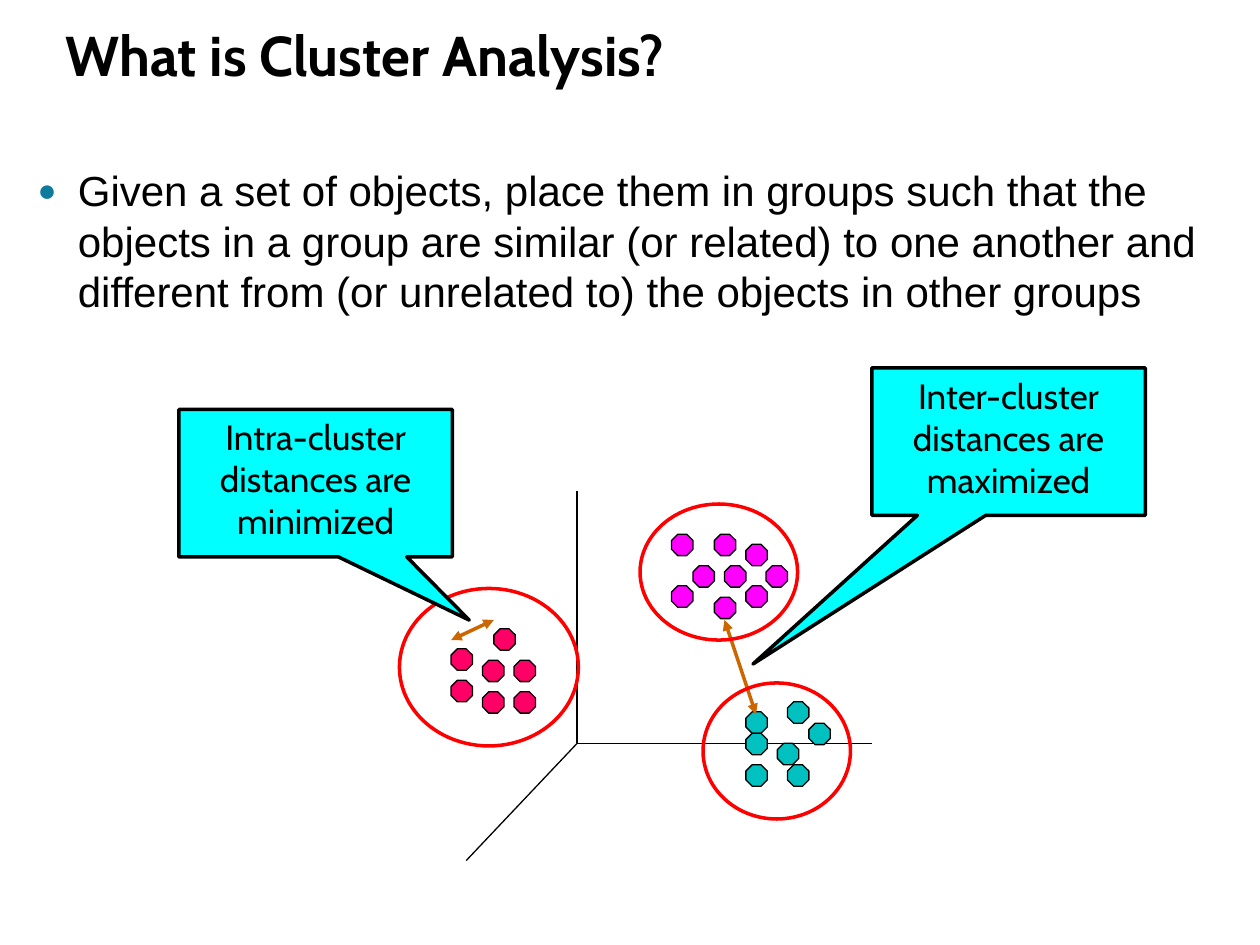
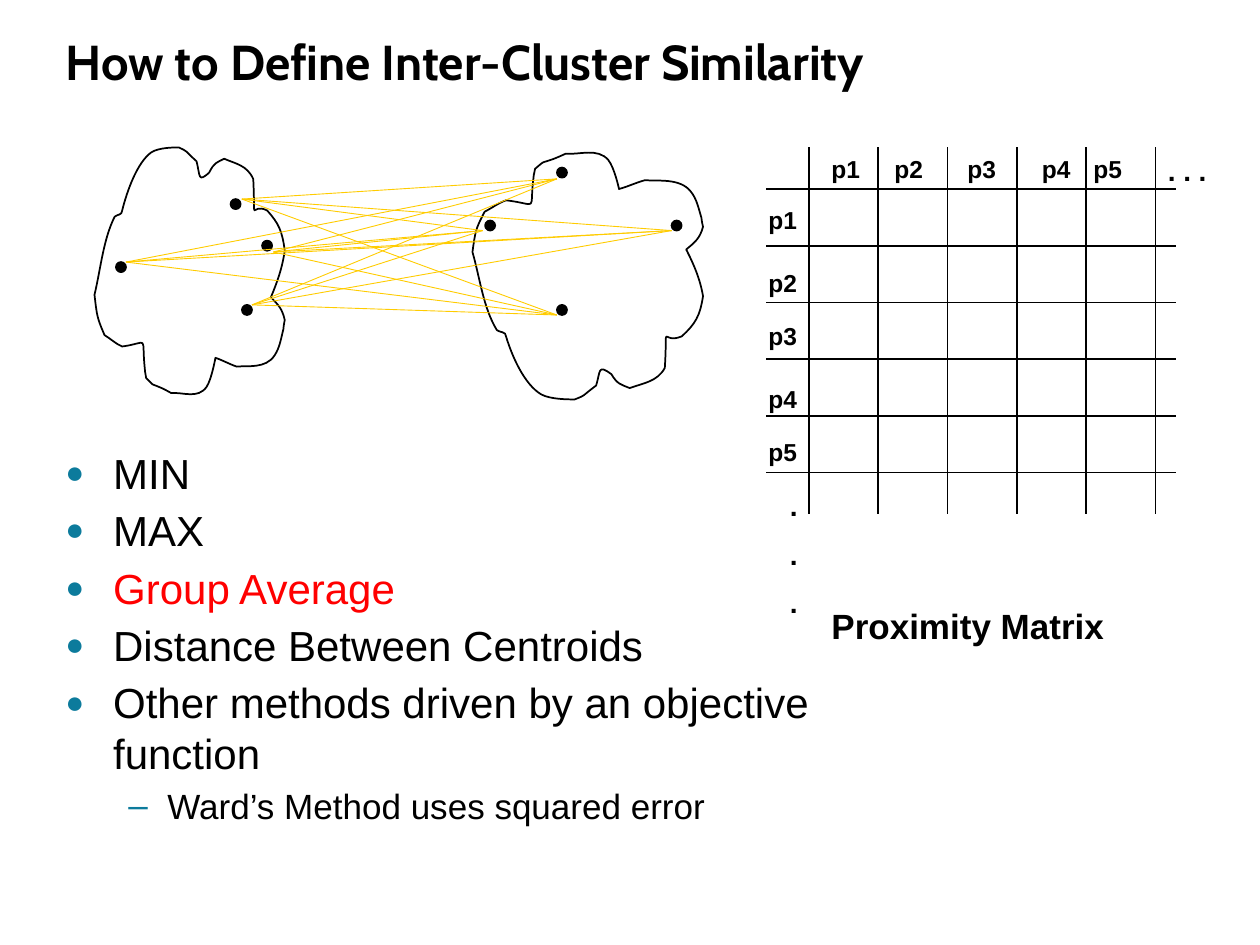
from itertools import product

from lxml import etree
from pptx import Presentation
from pptx.dml.color import RGBColor
from pptx.enum.shapes import MSO_CONNECTOR as CONN, MSO_SHAPE as SHAPE
from pptx.enum.text import MSO_ANCHOR as ANCHOR, MSO_AUTO_SIZE as AUTO, PP_ALIGN as ALIGN
from pptx.oxml.ns import qn
from pptx.util import Inches, Pt

BLACK = RGBColor(0x00, 0x00, 0x00)
RED = RGBColor(0xFF, 0x00, 0x00)
CYAN = RGBColor(0x00, 0xFF, 0xFF)
MAGENTA = RGBColor(0xFF, 0x00, 0xFF)
PINK = RGBColor(0xFF, 0x00, 0x66)
TEAL = RGBColor(0x00, 0xC0, 0xC0)
BROWN = RGBColor(0xCC, 0x66, 0x00)
GOLD = RGBColor(0xFF, 0xCC, 0x00)
BULLET = "0C7B9C"

TITLE_FRAME = dict(vertical_anchor=ANCHOR.BOTTOM, word_wrap=True, auto_size=AUTO.NONE,
                   margin_left=Inches(0.1), margin_right=Inches(0.1),
                   margin_top=Inches(0.05), margin_bottom=Inches(0.05))
TITLE_PARA = dict(alignment=ALIGN.LEFT, line_spacing=Pt(36))
MATRIX_LABEL = dict(size=14, bold=True)

BLOB_WIDTH = 1.51
BLOB_HEIGHT = 1.95
BLOB_CURVES = [
    [(0.07, 0.73), (0.05, 0.96), (0, 1.17)],
    [(0.02, 1.34), (0.02, 1.35), (0.08, 1.49)],
    [(0.13, 1.52), (0.17, 1.56), (0.22, 1.58)],
    [(0.44, 1.55), (0.37, 1.48), (0.4, 1.76)],
    [(0.4, 1.79), (0.41, 1.81), (0.41, 1.83)],
    [(0.48, 1.9), (0.44, 1.87), (0.51, 1.9)],
    [(0.54, 1.91), (0.61, 1.95), (0.61, 1.95)],
    [(0.7, 1.94), (0.82, 2), (0.89, 1.9)],
    [(0.93, 1.84), (0.96, 1.67), (0.96, 1.67)],
    [(1.02, 1.69), (1.07, 1.72), (1.13, 1.74)],
    [(1.21, 1.73), (1.36, 1.76), (1.43, 1.65)],
    [(1.47, 1.59), (1.48, 1.52), (1.5, 1.44)],
    [(1.5, 1.42), (1.51, 1.37), (1.51, 1.37)],
    [(1.49, 1.28), (1.46, 1.25), (1.4, 1.19)],
    [(1.45, 1.07), (1.49, 0.96), (1.51, 0.82)],
    [(1.49, 0.66), (1.46, 0.6), (1.37, 0.5)],
    [(1.23, 0.43), (1.28, 0.65), (1.26, 0.25)],
    [(1.21, 0.14), (1.12, 0.13), (1.03, 0.09)],
    [(0.97, 0.12), (0.95, 0.12), (0.91, 0.2)],
    [(0.82, 0.28), (0.84, 0.23), (0.81, 0.11)],
    [(0.7, 0.01), (0.75, 0.04), (0.67, 0)],
    [(0.63, 0), (0.51, 0), (0.45, 0.04)],
    [(0.34, 0.12), (0.26, 0.34), (0.22, 0.5)],
    [(0.22, 0.54), (0.18, 0.53), (0.16, 0.55)],
]


def apply(obj, values):
    for name, value in values.items():
        setattr(obj, name, value)


def inches(*values):
    return [Inches(v) for v in values]


def set_font(font, size, color=BLACK, name="Arial", bold=False):
    apply(font, dict(size=Pt(size), name=name, bold=bold))
    font.color.rgb = color


def add_title(prs, text, height, size):
    slide = prs.slides.add_slide(prs.slide_layouts[5])
    title = slide.shapes.title
    apply(title, dict(zip(("left", "top", "width", "height"),
                          inches(0.42, 0.17, 9.06, height))))
    tf = title.text_frame
    apply(tf, TITLE_FRAME)
    tf.text = text
    apply(tf.paragraphs[0], TITLE_PARA)
    set_font(tf.paragraphs[0].runs[0].font, size, name="Cabin", bold=True)
    return slide


def add_text(slide, box, lines, **font):
    tf = slide.shapes.add_textbox(*inches(*box)).text_frame
    tf.word_wrap = True
    for i, line in enumerate(lines):
        p = tf.paragraphs[0] if i == 0 else tf.add_paragraph()
        if i:
            p.space_before = Pt(8.5)
        r = p.add_run()
        r.text = line
        set_font(r.font, **font)


def add_bullets(slide, box, items, indent, before, after):
    tf = slide.shapes.add_textbox(*inches(*box)).text_frame
    tf.word_wrap = True
    for i, (text, level, color) in enumerate(items):
        p = tf.paragraphs[0] if i == 0 else tf.add_paragraph()
        left, hang = (0.81, 0.31) if level else (indent, indent)
        pPr = p._p.get_or_add_pPr()
        pPr.set("marL", str(Inches(left)))
        pPr.set("indent", str(-Inches(hang)))
        bu_color = etree.SubElement(pPr, qn("a:buClr"))
        etree.SubElement(bu_color, qn("a:srgbClr")).set("val", BULLET)
        if not level:
            etree.SubElement(pPr, qn("a:buSzPct")).set("val", "75000")
        etree.SubElement(pPr, qn("a:buFont")).set("typeface", "Arial")
        etree.SubElement(pPr, qn("a:buChar")).set("char", "–" if level else "●")
        apply(p, dict(level=level, space_after=Pt(after)))
        if i:
            p.space_before = Pt(before)
        r = p.add_run()
        r.text = text
        set_font(r.font, 20 if level else 24, color)


def add_line(slide, start, end, color=BLACK, width=0.75, arrows=False):
    sp = slide.shapes.add_connector(CONN.STRAIGHT, *inches(*start, *end))
    sp.line.color.rgb = color
    sp.line.width = Pt(width)
    if arrows:
        ln = sp.line._get_or_add_ln()
        for tag in ("a:headEnd", "a:tailEnd"):
            etree.SubElement(ln, qn(tag)).set("type", "triangle")
    etree.SubElement(sp._element.spPr, qn("a:effectLst"))


def style_shape(sp, fill, line, width):
    sp.shadow.inherit = False
    if fill is None:
        sp.fill.background()
    else:
        sp.fill.solid()
        sp.fill.fore_color.rgb = fill
    sp.line.color.rgb = line
    sp.line.width = Pt(width)


def add_shape(slide, kind, box, fill=None, line=BLACK, width=0.75):
    sp = slide.shapes.add_shape(kind, *inches(*box))
    style_shape(sp, fill, line, width)
    return sp


def add_callout(slide, left, top, text, pointer):
    sp = add_shape(slide, SHAPE.RECTANGULAR_CALLOUT, (left, top, 2.17, 1.17), CYAN, width=2)
    for i, value in enumerate(pointer):
        sp.adjustments[i] = value
    tf = sp.text_frame
    apply(tf, dict(word_wrap=True, vertical_anchor=ANCHOR.TOP, text=text))
    p = tf.paragraphs[0]
    p.alignment = ALIGN.CENTER
    set_font(p.runs[0].font, 20, name="Cabin")


def add_axes(slide, x, y):
    for dx, dy in [(0, -2), (2.34, 0), (-0.88, 0.93)]:
        add_line(slide, (x, y), (x + dx, y + dy))


def add_points(slide, left, top, color, offsets):
    for dx, dy in offsets:
        add_shape(slide, SHAPE.OCTAGON, (left + dx, top + dy, 0.17, 0.17), color)


def add_clusters(slide, left, top):
    add_axes(slide, left + 1.41, top + 1.9)
    add_points(slide, left + 2.16, top + 0.24, MAGENTA,
               [(0.17, 0.25), (0.42, 0.25), (0.34, 0), (0.34, 0.5), (0.75, 0.25),
                (0.59, 0.08), (0, 0), (0.59, 0.41), (0, 0.41)])
    add_points(slide, left + 0.41, top + 0.99, PINK,
               [(0, 0.16), (0.25, 0.25), (0.25, 0.5), (0.5, 0.25), (0.34, 0),
                (0.5, 0.5), (0, 0.41)])
    add_points(slide, left + 2.75, top + 1.57, TEAL,
               [(0, 0.08), (0.5, 0.17), (0.25, 0.33), (0, 0.5), (0.33, 0.5),
                (0, 0.25), (0.33, 0)])
    add_line(slide, (left + 2.83, top + 1.67), (left + 2.58, top + 0.92), BROWN, 2, True)
    add_callout(slide, left + 3.75, top - 1.08,
                "Inter-cluster distances are maximized", (-0.935, 1.509))
    for dx, dy, w, h in [(0, 0.67, 1.42, 1.25), (1.91, 0, 1.25, 1.08), (2.41, 1.42, 1.17, 1.08)]:
        add_shape(slide, SHAPE.OVAL, (left + dx, top + dy, w, h), line=RED, width=2)
    add_line(slide, (left + 0.41, top + 1.08), (left + 0.75, top + 0.92), BROWN, 2, True)
    add_callout(slide, left - 1.75, top - 0.75,
                "Intra-cluster distances are minimized", (0.562, 0.929))


def add_blob(slide, left, top, width, dots, flipped=False):
    curves = [[inches(left + x * width / BLOB_WIDTH,
                      top + (BLOB_HEIGHT - y if flipped else y)) for x, y in curve]
              for curve in BLOB_CURVES]
    ends = [curve[-1] for curve in curves]
    builder = slide.shapes.build_freeform(*ends[-1])
    builder.add_line_segments(ends, close=True)
    sp = builder.convert_to_shape()
    style_shape(sp, None, BLACK, 1)
    segments = list(sp._element.spPr.iter(qn("a:lnTo")))
    for segment, curve in zip(segments, curves):
        bezier = etree.Element(qn("a:cubicBezTo"))
        for x, y in curve:
            pt = etree.SubElement(bezier, qn("a:pt"))
            pt.set("x", str(x - sp.left))
            pt.set("y", str(y - sp.top))
        segment.getparent().replace(segment, bezier)
    for dx, dy in dots:
        add_shape(slide, SHAPE.OVAL, (left + dx, top + dy, 0.08, 0.08), BLACK, width=1)


def add_cluster_pair(slide, left, top):
    add_blob(slide, left, top, BLOB_WIDTH,
             [(1.17, 1.25), (1.08, 0.41), (0.17, 0.91), (1.33, 0.74)])
    add_blob(slide, left + 3, top + 0.05, 1.83,
             [(1.58, 0.53), (0.1, 0.53), (0.67, 1.2), (0.67, 0.11)], flipped=True)
    starts = [(1.25, 1.25), (1.42, 0.83), (0.25, 0.91), (1.17, 0.41)]
    ends = [(3.67, 1.33), (3.08, 0.66), (3.67, 0.25), (4.58, 0.66)]
    for (x1, y1), (x2, y2) in product(starts, ends):
        add_line(slide, (left + x1, top + y1), (left + x2, top + y2), GOLD, 0.5)


def add_matrix(slide, left, top):
    for i in range(6):
        x, y = left + 0.42 + 0.55 * i, top + 0.33 + 0.45 * i
        add_line(slide, (x, top), (x, top + 2.91), width=1)
        add_line(slide, (left + 0.08, y), (left + 3.33, y), width=1)
    row_tops = [0.41, 0.91, 1.33, 1.83, 2.25]
    column_lefts = [0.5, 1, 1.58, 2.17, 2.58]
    for i, (dy, dx) in enumerate(zip(row_tops, column_lefts), 1):
        add_text(slide, (left, top + dy, 0.58, 0.33), [f"p{i}"], **MATRIX_LABEL)
        add_text(slide, (left + dx, top, 0.58, 0.33), [f"p{i}"], **MATRIX_LABEL)
    add_text(slide, (left + 3.17, top, 0.58, 0.37), [". . ."], size=16, bold=True)
    add_text(slide, (left + 0.17, top + 2.66, 0.58, 1.17), ["."] * 3, size=16, bold=True)
    add_text(slide, (left + 0.5, top + 3.58, 2.75, 0.43), ["Proximity Matrix"],
             size=20, bold=True)


def build_cluster_slide(prs):
    slide = add_title(prs, "What is Cluster Analysis?", 0.58, 32)
    add_bullets(slide, (0.2, 1.26, 9.55, 1.41), [
        ("Given a set of objects, place them in groups such that the objects in a group "
         "are similar (or related) to one another and different from (or unrelated to) "
         "the objects in other groups", 0, BLACK)], 0.32, 0, 4)
    add_clusters(slide, 3.17, 4)


def build_similarity_slide(prs):
    slide = add_title(prs, "How to Define Inter-Cluster Similarity", 0.6, 28)
    add_matrix(slide, 6, 1.17)
    add_cluster_pair(slide, 0.75, 1.17)
    add_bullets(slide, (0.42, 3.5, 6.33, 3.42), [
        ("MIN", 0, BLACK),
        ("MAX", 0, BLACK),
        ("Group Average", 0, RED),
        ("Distance Between Centroids", 0, BLACK),
        ("Other methods driven by an objective function", 0, BLACK),
        ("Ward’s Method uses squared error", 1, BLACK)], 0.38, 2, 2)


def main():
    prs = Presentation()
    prs.slide_width, prs.slide_height = inches(10, 7.5)
    build_cluster_slide(prs)
    build_similarity_slide(prs)
    prs.save("out.pptx")


if __name__ == "__main__":
    main()
